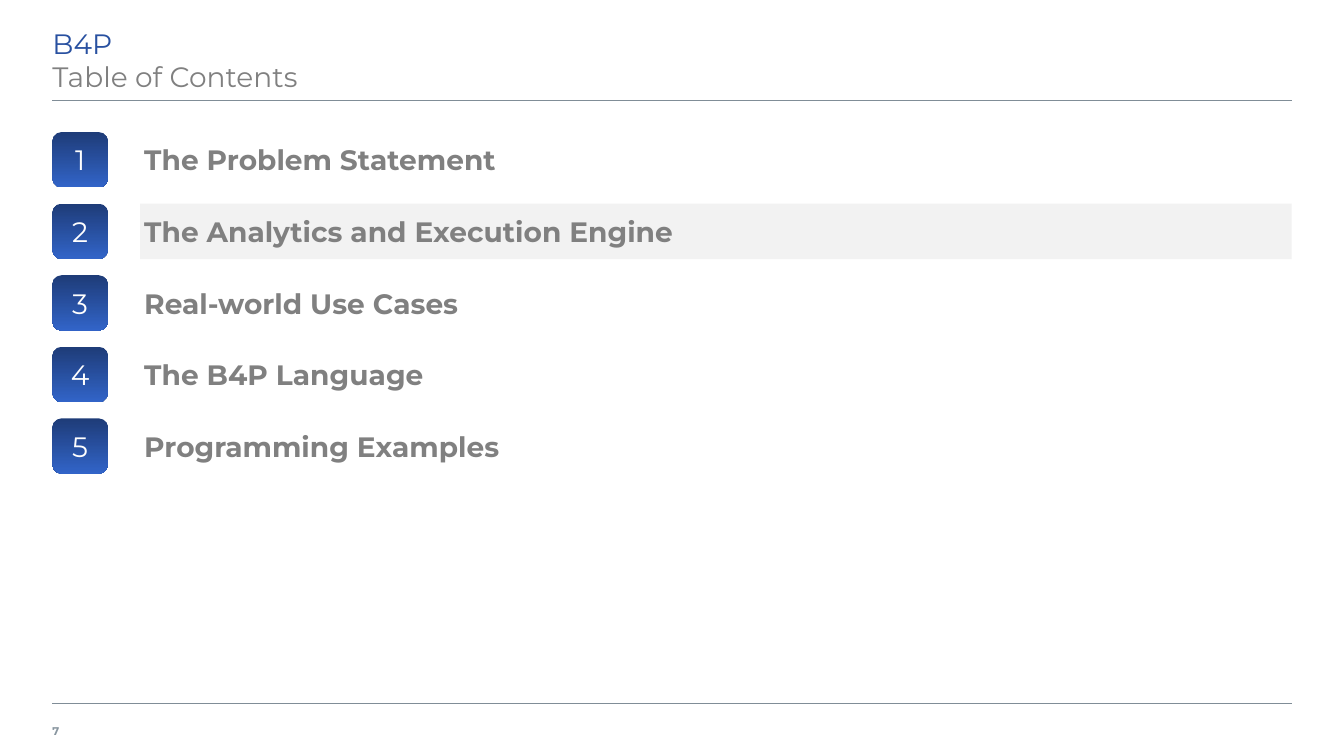
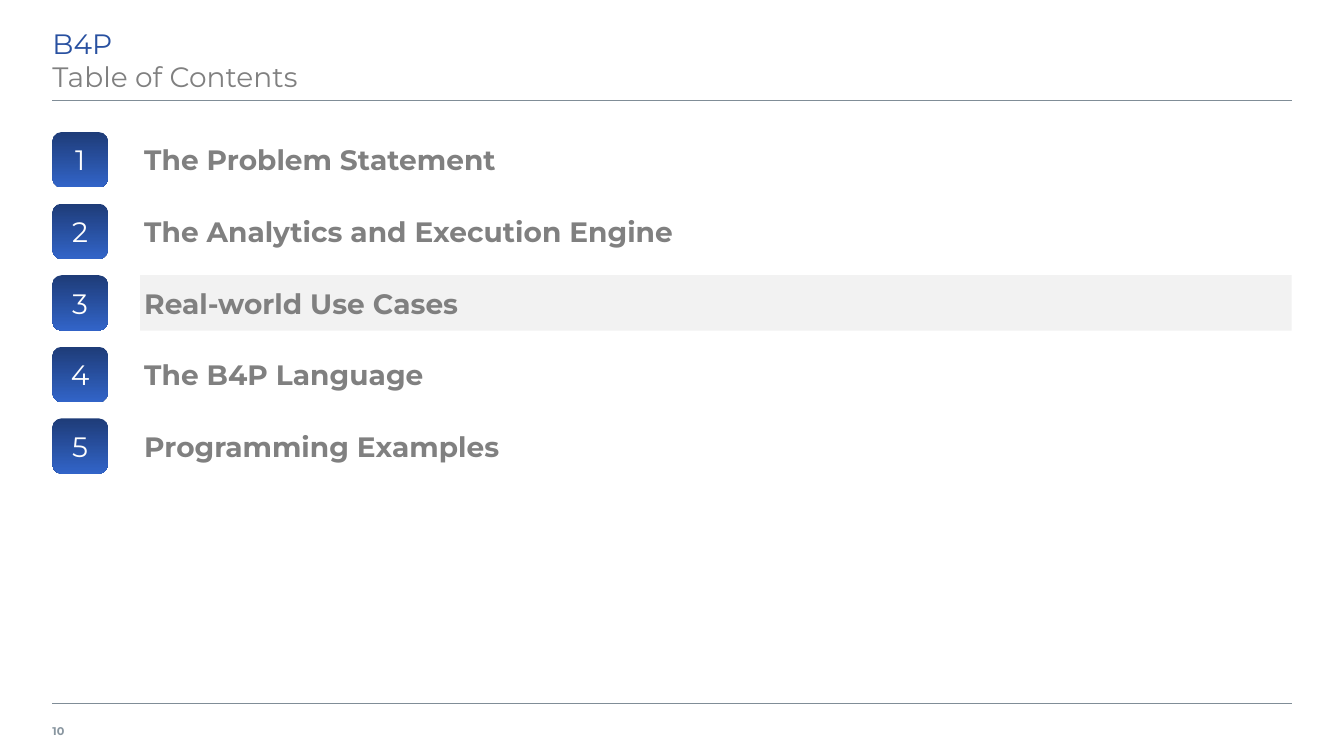
from dataclasses import dataclass

from pptx import Presentation
from pptx.dml.color import RGBColor
from pptx.enum.shapes import MSO_CONNECTOR, MSO_SHAPE
from pptx.enum.text import MSO_ANCHOR, MSO_AUTO_SIZE, PP_ALIGN
from pptx.oxml.ns import qn
from pptx.util import Inches, Pt


@dataclass(frozen=True)
class Theme:
    font: str = "Montserrat"
    blue: str = "2850A0"
    gray: str = "808080"
    white: str = "FFFFFF"
    rule: str = "808D97"
    page_number: str = "8996A0"
    highlight: str = "F2F2F2"
    gradient: tuple = ("1E3C78", "3264C8")
    text_size: int = 20
    page_size: int = 8


THEME = Theme()

# Grid, in inches
WIDTH, HEIGHT = 13.33, 7.5
LEFT, RIGHT = 0.52, 12.81
TITLE_RULE, FOOTER_RULE = 1, 6.98
FIRST_ROW, ROW_PITCH, ROW_HEIGHT = 1.31, 0.71, 0.55
LABEL_LEFT = 1.39
CELL_INSETS = (0.04, 0.04, 0.04, 0.04)

CHAPTERS = (
    "The Problem Statement",
    "The Analytics and Execution Engine",
    "Real-world Use Cases",
    "The B4P Language",
    "Programming Examples",
)
# Page number and highlighted chapter of each slide
AGENDA_PAGES = ((7, 2), (10, 3))


def color(value):
    return RGBColor.from_string(value)


def box(left, top, width, height):
    return [Inches(length) for length in (left, top, width, height)]


def format_frame(frame, insets, anchor=MSO_ANCHOR.MIDDLE):
    sides = ("margin_left", "margin_top", "margin_right", "margin_bottom")
    values = dict(zip(sides, map(Inches, insets)))
    values.update(word_wrap=True, auto_size=MSO_AUTO_SIZE.NONE, vertical_anchor=anchor)
    for name, value in values.items():
        setattr(frame, name, value)


def write(paragraph, text, text_color, size=THEME.text_size, bold=False, align=PP_ALIGN.LEFT):
    paragraph.alignment = align
    run = paragraph.add_run()
    run.text = text
    for name, value in {"name": THEME.font, "size": Pt(size), "bold": bold}.items():
        setattr(run.font, name, value)
    run.font.color.rgb = color(text_color)


# Shared frame: title, rules and page number
def add_title(slide, lines):
    title = slide.shapes.title
    title.left, title.top, title.width, title.height = box(LEFT, 0.21, RIGHT - LEFT, 0.79)
    frame = title.text_frame
    format_frame(frame, (0, 0.05, 0.1, 0.05), MSO_ANCHOR.TOP)
    for index, (text, text_color) in enumerate(lines):
        paragraph = frame.add_paragraph() if index else frame.paragraphs[0]
        write(paragraph, text, text_color)


def add_rule(slide, top):
    rule = slide.shapes.add_connector(
        MSO_CONNECTOR.STRAIGHT, Inches(LEFT), Inches(top), Inches(RIGHT), Inches(top))
    rule.line.color.rgb = color(THEME.rule)
    rule.line.width = Pt(1)
    properties = rule._element.spPr
    properties.append(properties.makeelement(qn("a:effectLst"), {}))


def add_page_number(slide, number):
    frame = slide.shapes.add_textbox(*box(LEFT, 7.06, 0.47, 0.39)).text_frame
    format_frame(frame, (0, 0.05, 0.08, 0.05))
    write(frame.paragraphs[0], str(number), THEME.page_number, THEME.page_size, bold=True)


# Table of contents: a label and a numbered tile in each row
def add_label(slide, top, text, active):
    label = slide.shapes.add_textbox(*box(LABEL_LEFT, top, RIGHT - LABEL_LEFT, ROW_HEIGHT))
    if active:
        label.fill.solid()
        label.fill.fore_color.rgb = color(THEME.highlight)
    format_frame(label.text_frame, CELL_INSETS)
    write(label.text_frame.paragraphs[0], text, THEME.gray, bold=True)


def add_number_tile(slide, top, number):
    tile = slide.shapes.add_shape(
        MSO_SHAPE.ROUNDED_RECTANGLE, *box(LEFT, top, ROW_HEIGHT, ROW_HEIGHT))
    tile.shadow.inherit = False
    tile.line.fill.background()
    tile.fill.gradient()
    tile.fill.gradient_angle = 270
    for stop, value in zip(tile.fill.gradient_stops, THEME.gradient):
        stop.color.rgb = color(value)
    format_frame(tile.text_frame, CELL_INSETS)
    write(tile.text_frame.paragraphs[0], str(number), THEME.white, align=PP_ALIGN.CENTER)


def add_agenda_slide(presentation, page_number, active_chapter):
    slide = presentation.slides.add_slide(presentation.slide_layouts.get_by_name("Title Only"))
    for top in (FOOTER_RULE, TITLE_RULE):
        add_rule(slide, top)
    add_page_number(slide, page_number)
    add_title(slide, (("B4P", THEME.blue), ("Table of Contents", THEME.gray)))
    for number, chapter in enumerate(CHAPTERS, start=1):
        top = FIRST_ROW + (number - 1) * ROW_PITCH
        add_label(slide, top, chapter, number == active_chapter)
        add_number_tile(slide, top, number)


def main():
    presentation = Presentation()
    presentation.slide_width = Inches(WIDTH)
    presentation.slide_height = Inches(HEIGHT)
    for page_number, active_chapter in AGENDA_PAGES:
        add_agenda_slide(presentation, page_number, active_chapter)
    presentation.save("out.pptx")


if __name__ == "__main__":
    main()
